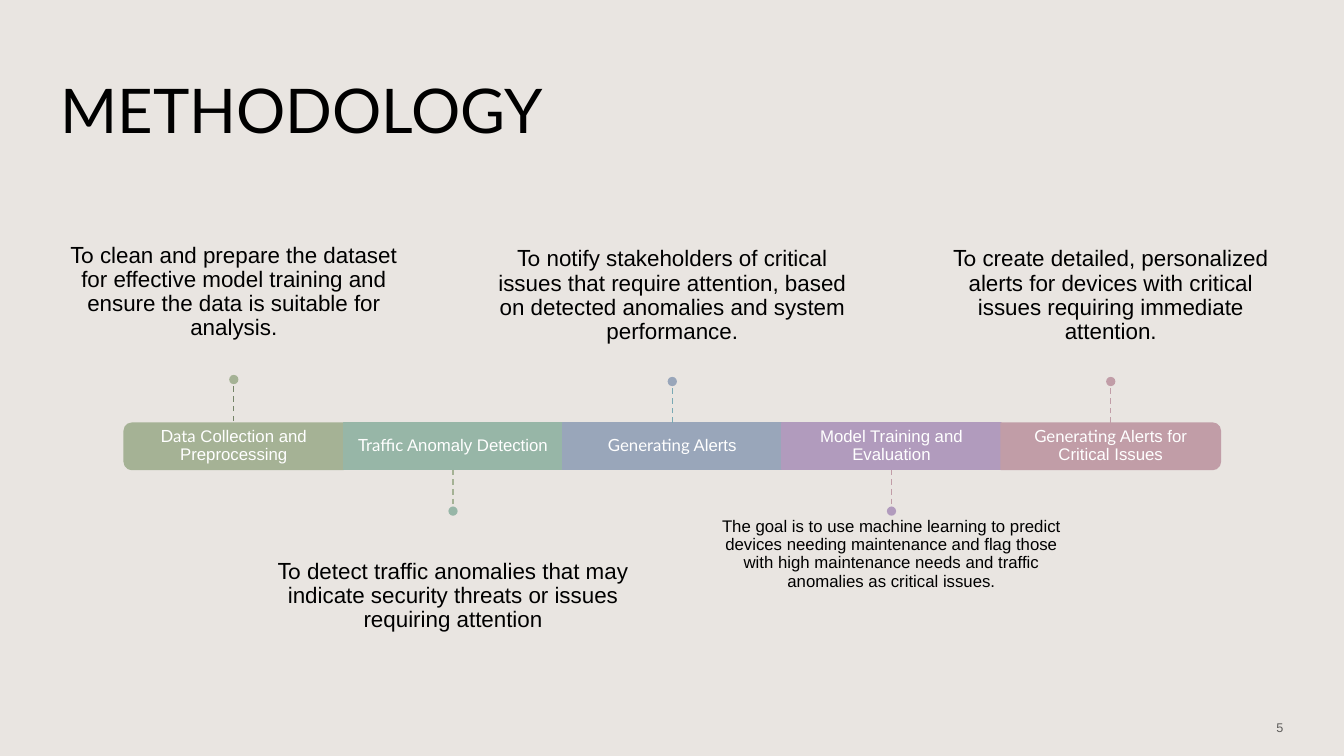
import pptx
import pptx.util
import pptx.dml.color
import pptx.enum.dml
import pptx.enum.shapes
import pptx.enum.text
import pptx.oxml.ns
import lxml.etree

Pt = pptx.util.Pt
SHAPE = pptx.enum.shapes.MSO_SHAPE
ALIGN = pptx.enum.text.PP_ALIGN
ANCHOR = pptx.enum.text.MSO_ANCHOR

COLOURS = {
    "page": "E9E5E1", "text": "000000", "number": "5D5C5A", "label": "FFFFFF",
    "olive": "A5B295", "green": "97B6A7", "blue": "99A6BA", "purple": "B19BBD",
    "rose": "C19DA7", "moss": "758468", "teal": "79A9B4",
}


def rgb(name):
    return pptx.dml.color.RGBColor.from_string(COLOURS[name])


class TimelineSlide:
    """Holds the slide and its style; every length is in points."""

    def __init__(self, slide):
        self.slide = slide
        self.shapes = slide.shapes
        slide.background.fill.solid()
        slide.background.fill.fore_color.rgb = rgb("page")

    def block(self, kind, left, top, width, height, colour, outlined=False, rotation=0):
        shape = self.shapes.add_shape(kind, Pt(left), Pt(top), Pt(width), Pt(height))
        shape.shadow.inherit = False
        shape.rotation = rotation
        shape.fill.solid()
        shape.fill.fore_color.rgb = rgb(colour)
        if outlined:
            shape.line.color.rgb = rgb(colour)
            shape.line.width = Pt(1)
        else:
            shape.line.fill.background()
        return shape

    def text(self, runs, left, top, width, height, size, colour="text",
             align=ALIGN.CENTER, anchor=ANCHOR.MIDDLE, inset=(7.2, 3.6), spacing=0.9):
        box = self.shapes.add_textbox(Pt(left), Pt(top), Pt(width), Pt(height))
        side, edge = (Pt(value) for value in inset)
        frame_format = {"word_wrap": True, "vertical_anchor": anchor,
                        "margin_left": side, "margin_right": side,
                        "margin_top": edge, "margin_bottom": edge}
        for attribute, value in frame_format.items():
            setattr(box.text_frame, attribute, value)
        paragraph = box.text_frame.paragraphs[0]
        paragraph.alignment = align
        paragraph.line_spacing = spacing
        for words, font in runs:
            run = paragraph.add_run()
            run.text = words
            for attribute, value in {"name": font, "size": Pt(size)}.items():
                setattr(run.font, attribute, value)
            run.font.color.rgb = rgb(colour)

    def stem(self, x, start, end, colour, bar=None, side=0):
        line = self.shapes.add_connector(
            pptx.enum.shapes.MSO_CONNECTOR.STRAIGHT, Pt(x), Pt(start), Pt(x), Pt(end))
        if bar is not None:
            line.begin_connect(bar, side)
        line.line.color.rgb = rgb(colour)
        line.line.width = Pt(1)
        line.line.dash_style = pptx.enum.dml.MSO_LINE.DASH
        lxml.etree.SubElement(line._element.spPr, pptx.oxml.ns.qn("a:effectLst"))


def split_first_word(sentence):
    first, rest = sentence.split(" ", 1)
    return [(first, "Lato"), (" " + rest, "Arial")]


def all_arial(sentence):
    return [(sentence, "Arial")]


# Steps: label, note, bar colour, stem colour
STEPS = [
    ("Data Collection and Preprocessing",
     "To clean and prepare the dataset for effective model training and ensure "
     "the data is suitable for analysis.", "olive", "moss"),
    ("Traffic Anomaly Detection",
     "To detect traffic anomalies that may indicate security threats or issues "
     "requiring attention", "green", "olive"),
    ("Generating Alerts",
     "To notify stakeholders of critical issues that require attention, based on "
     "detected anomalies and system performance.", "blue", "teal"),
    ("Model Training and Evaluation",
     "The goal is to use machine learning to predict devices needing maintenance "
     "and flag those with high maintenance needs and traffic anomalies as "
     "critical issues.", "purple", "rose"),
    ("Generating Alerts for Critical Issues",
     "To create detailed, personalized alerts for devices with critical issues "
     "requiring immediate attention.", "rose", "rose"),
]
FIRST_CENTRE, PITCH = 167, 156.6
BAR_TOP, BAR_HEIGHT = 302.2, 33.2
BAR_MIDDLE = BAR_TOP + BAR_HEIGHT / 2
STEM, DOT = 26.4, 6.6
NOTE_WIDTH, NOTE_HEIGHT = 260.6, 115.9
NOTE_ABOVE, NOTE_BELOW = 153.4, 367.9


def add_step(page, index, label, note, colour, stem_colour):
    centre = FIRST_CENTRE + index * PITCH
    first, last = index == 0, index == len(STEPS) - 1
    above = index % 2 == 0
    lift = 1.4 if first else 0
    style = all_arial if label.startswith("Model") else split_first_word

    # Bar segment: the two ends are turned so that their outer corners are round
    if first or last:
        page.block(SHAPE.ROUND_2_SAME_RECTANGLE, centre - BAR_HEIGHT / 2,
                   BAR_MIDDLE - PITCH / 2, BAR_HEIGHT, PITCH, colour, True,
                   270 if first else 90)
        bar = None
        label_width = PITCH - 1.8
    else:
        bar = page.block(SHAPE.RECTANGLE, centre - PITCH / 2, BAR_TOP,
                         PITCH, BAR_HEIGHT, colour, True)
        label_width = PITCH
    page.text(style(label), centre - label_width / 2, BAR_TOP, label_width,
              BAR_HEIGHT, 12, "label", inset=(2.9, 0))

    # Note
    compact = style is all_arial
    page.text(style(note), centre - NOTE_WIDTH / 2, NOTE_ABOVE if above else NOTE_BELOW,
              NOTE_WIDTH, NOTE_HEIGHT - (5 if first else 0), 12 if compact else 16,
              anchor=ANCHOR.TOP if compact else ANCHOR.MIDDLE, inset=(4.3, 2.2))

    # Stem and dot
    start = BAR_TOP - lift if above else BAR_TOP + BAR_HEIGHT
    end = start - STEM if above else start + STEM
    page.stem(centre, start, end, stem_colour, bar, 0 if above else 2)
    page.block(SHAPE.OVAL, centre - DOT / 2, end - DOT if above else end, DOT, DOT, colour)


def main():
    deck = pptx.Presentation()
    deck.slide_width, deck.slide_height = Pt(960), Pt(540)
    page = TimelineSlide(deck.slides.add_slide(deck.slide_layouts[6]))

    # Title and slide number
    page.text([("METHODOLOGY", "Lato")], 36, 28.8, 858.2, 104.4, 44, align=ALIGN.LEFT)
    page.text(all_arial("5"), 707.8, 505.4, 216, 28.8, 9, "number",
              align=ALIGN.RIGHT, spacing=1.0)

    # Timeline
    for index, step in enumerate(STEPS):
        add_step(page, index, *step)

    deck.save("out.pptx")


if __name__ == "__main__":
    main()
